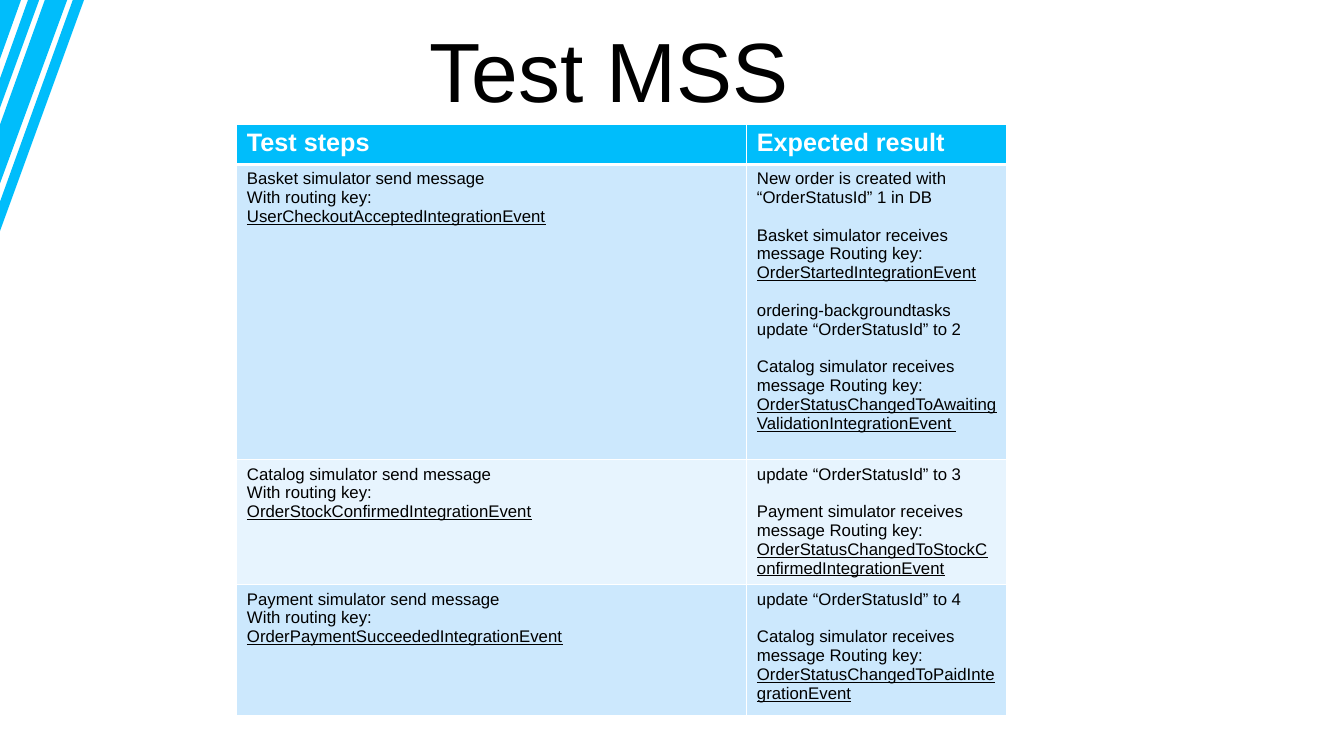
from dataclasses import dataclass

import lxml.etree
import pptx
import pptx.dml.color
import pptx.enum.text
import pptx.oxml.ns
import pptx.slide
import pptx.table
import pptx.text.text
import pptx.util

COLORS = {"accent": "00BDFB", "band_dark": "CCE8FD", "band_light": "E7F4FE",
          "text": "000000", "white": "FFFFFF"}
FONT = "Arial"
BODY_SIZE = 12
GAP = 13.4  # one body line
STRIPE_SLOPE = 2.75
COLUMN_WIDTHS = (364.3, 185.8)
ROW_HEIGHTS = (28.8, 211, 89.3, 93.6)
HEADERS = ("Test steps", "Expected result")


@dataclass
class Stripe:
    inner: float
    outer: float


@dataclass
class Line:
    text: str
    event: str = ""
    gap: bool = False


@dataclass
class Step:
    actions: list[Line]
    results: list[Line]


STRIPES = [Stripe(0, 15.2), Stripe(20.2, 28), Stripe(32.4, 47.5), Stripe(52.5, 60)]


def sending(sender: str, event: str) -> list[Line]:
    return [Line(f"{sender} simulator send message"), Line("With routing key:"), Line("", event)]


def receiving(receiver: str, event: str) -> Line:
    return Line(f"{receiver} simulator receives message Routing key: ", event, gap=True)


STEPS = [
    Step(sending("Basket", "UserCheckoutAcceptedIntegrationEvent"),
         [Line("New order is created with “OrderStatusId” 1 in DB"),
          receiving("Basket", "OrderStartedIntegrationEvent"),
          Line("ordering-backgroundtasks update “OrderStatusId” to 2", gap=True),
          receiving("Catalog", "OrderStatusChangedToAwaitingValidationIntegrationEvent ")]),
    Step(sending("Catalog", "OrderStockConfirmedIntegrationEvent"),
         [Line("update “OrderStatusId” to 3"),
          receiving("Payment", "OrderStatusChangedToStockConfirmedIntegrationEvent")]),
    Step(sending("Payment", "OrderPaymentSucceededIntegrationEvent"),
         [Line("update “OrderStatusId” to 4"),
          receiving("Catalog", "OrderStatusChangedToPaidIntegrationEvent")]),
]


def rgb(name: str) -> pptx.dml.color.RGBColor:
    return pptx.dml.color.RGBColor.from_string(COLORS[name])


def add_run(paragraph: pptx.text.text._Paragraph, text: str, size: float,
            color: str = "text", bold: bool = False, underline: bool = False) -> None:
    run = paragraph.add_run()
    run.text = text
    run.font.name = FONT
    run.font.size = pptx.util.Pt(size)
    run.font.bold = bold
    run.font.underline = underline
    run.font.color.rgb = rgb(color)


def add_stripes(slide: pptx.slide.Slide) -> None:
    builder = None
    for stripe in STRIPES:
        if builder is None:
            builder = slide.shapes.build_freeform(stripe.inner, 0, scale=pptx.util.Pt(1))
        else:
            builder.move_to(stripe.inner, 0)
        builder.add_line_segments([(stripe.outer, 0), (0, stripe.outer * STRIPE_SLOPE),
                                   (0, stripe.inner * STRIPE_SLOPE)], close=True)
    shape = builder.convert_to_shape()
    shape.shadow.inherit = False
    shape.fill.solid()
    shape.fill.fore_color.rgb = rgb("accent")
    shape.line.fill.background()


def add_title(slide: pptx.slide.Slide) -> None:
    title = slide.shapes.title
    title.left, title.top = pptx.util.Pt(299.5), pptx.util.Pt(8.6)
    title.width, title.height = pptx.util.Pt(290.2), pptx.util.Pt(79.9)
    frame = title.text_frame
    frame.auto_size = pptx.enum.text.MSO_AUTO_SIZE.NONE
    frame.vertical_anchor = pptx.enum.text.MSO_ANCHOR.BOTTOM
    paragraph = frame.paragraphs[0]
    paragraph.alignment = pptx.enum.text.PP_ALIGN.LEFT
    add_run(paragraph, "Test MSS", 60)


def style_cell(cell: pptx.table._Cell, fill: str, top: float, bottom: float) -> None:
    properties = cell._tc.get_or_add_tcPr()
    for side, width in (("L", 1), ("R", 1), ("T", top), ("B", bottom)):
        border = lxml.etree.SubElement(properties, pptx.oxml.ns.qn(f"a:ln{side}"),
                                       w=str(pptx.util.Pt(width)))
        solid = lxml.etree.SubElement(border, pptx.oxml.ns.qn("a:solidFill"))
        lxml.etree.SubElement(solid, pptx.oxml.ns.qn("a:srgbClr"), val=COLORS["white"])
    cell.fill.solid()
    cell.fill.fore_color.rgb = rgb(fill)


def write_lines(cell: pptx.table._Cell, lines: list[Line]) -> None:
    frame = cell.text_frame
    for index, line in enumerate(lines):
        paragraph = frame.add_paragraph() if index else frame.paragraphs[0]
        if line.gap:
            paragraph.space_before = pptx.util.Pt(GAP)
        if line.text:
            add_run(paragraph, line.text, BODY_SIZE)
        if line.event:
            add_run(paragraph, line.event, BODY_SIZE, underline=True)


def add_steps_table(slide: pptx.slide.Slide) -> None:
    frame = slide.shapes.add_table(
        len(ROW_HEIGHTS), len(COLUMN_WIDTHS), pptx.util.Pt(169.2), pptx.util.Pt(88.6),
        pptx.util.Pt(sum(COLUMN_WIDTHS)), pptx.util.Pt(sum(ROW_HEIGHTS)))
    table = frame.table
    for column, width in zip(table.columns, COLUMN_WIDTHS):
        column.width = pptx.util.Pt(width)
    for row, height in zip(table.rows, ROW_HEIGHTS):
        row.height = pptx.util.Pt(height)

    # Header row
    for column, header in enumerate(HEADERS):
        cell = table.cell(0, column)
        style_cell(cell, "accent", top=1, bottom=3)
        add_run(cell.text_frame.paragraphs[0], header, 18, "white", bold=True)

    # Banded step rows
    for row, step in enumerate(STEPS, start=1):
        band = "band_dark" if row % 2 else "band_light"
        for column, lines in enumerate((step.actions, step.results)):
            cell = table.cell(row, column)
            style_cell(cell, band, top=3 if row == 1 else 1, bottom=1)
            write_lines(cell, lines)


def main() -> None:
    presentation = pptx.Presentation()
    presentation.slide_width = pptx.util.Pt(960)
    presentation.slide_height = pptx.util.Pt(540)
    slide = presentation.slides.add_slide(presentation.slide_layouts.get_by_name("Title Only"))
    add_stripes(slide)
    add_steps_table(slide)
    add_title(slide)
    presentation.save("out.pptx")


if __name__ == "__main__":
    main()
